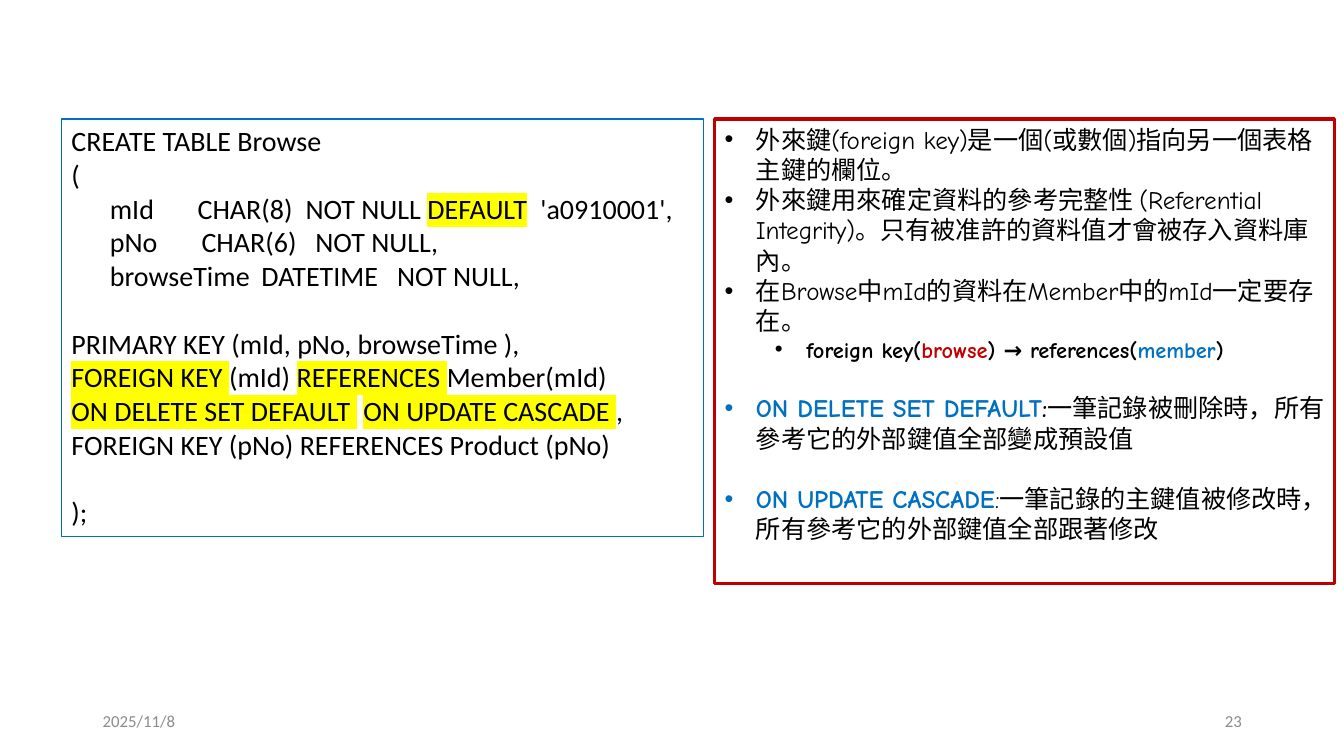
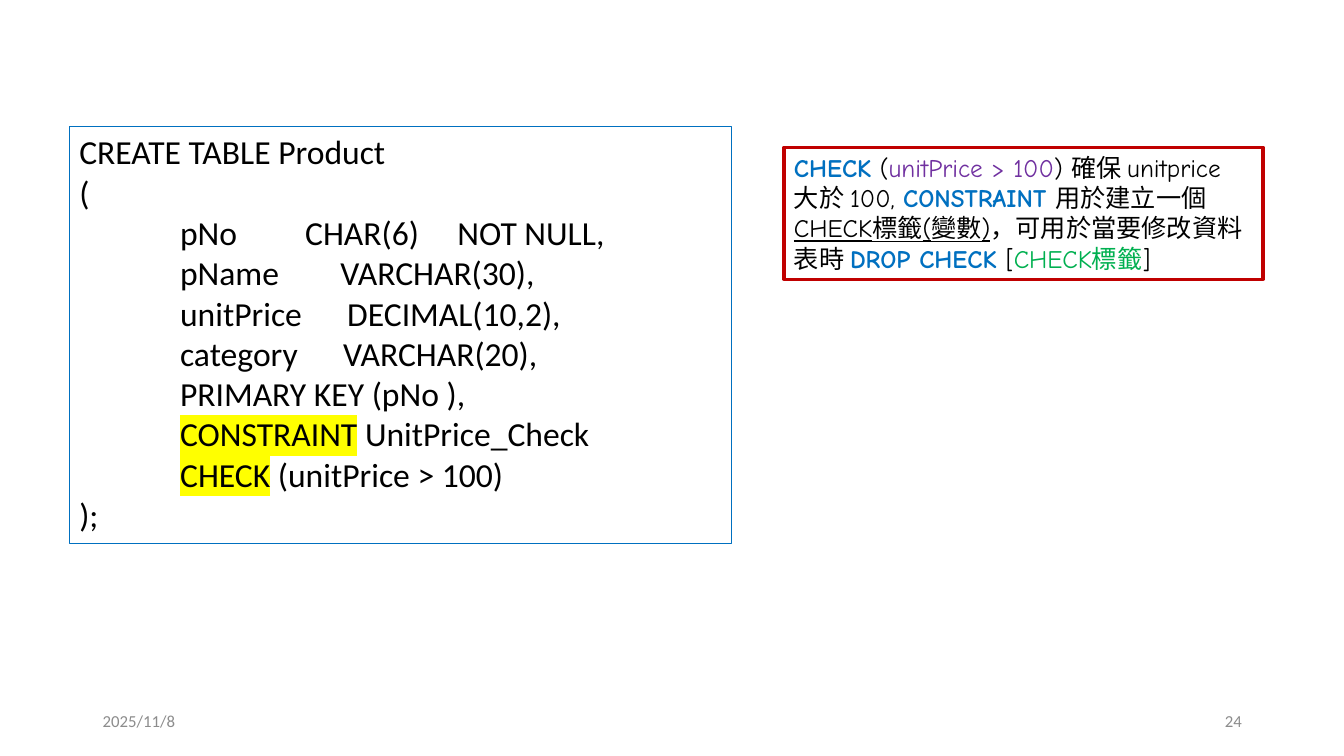
from dataclasses import dataclass

from lxml import etree
from pptx import Presentation
from pptx.dml.color import RGBColor
from pptx.enum.text import MSO_ANCHOR, MSO_AUTO_SIZE, PP_ALIGN
from pptx.oxml.ns import qn
from pptx.slide import Slide
from pptx.util import Cm, Pt

TOP, MIDDLE = MSO_ANCHOR.TOP, MSO_ANCHOR.MIDDLE
LEFT, RIGHT = PP_ALIGN.LEFT, PP_ALIGN.RIGHT
NO_AUTOFIT = MSO_AUTO_SIZE.NONE

COLORS = {
    "ink": "000000",
    "blue": "0070C0",
    "red": "C00000",
    "purple": "7030A0",
    "green": "00B050",
    "muted": "8C8C8C",
    "marker": "FFFF00",
}
CODE_FONT = "Calibri"
REMARK_FONT = "Comic Neue"
BLANK_LAYOUT = 6
FIRST_PAGE = 23
CODE_GAP = 24.4
REMARK_GAP = 21.5
HANGING = 0.79


@dataclass(frozen=True)
class Span:
    text: str
    color: str = ""
    bold: bool = False
    underline: bool = False
    marked: bool = False


@dataclass(frozen=True)
class Line:
    spans: tuple[Span, ...]
    tabs: tuple[float, ...] = ()
    bullet_indent: float = 0
    size: float = 0
    gap_before: float = 0


@dataclass(frozen=True)
class Area:
    left: float
    top: float
    width: float
    height: float


@dataclass(frozen=True)
class Page:
    code: tuple[Line, ...]
    code_area: Area
    code_size: float
    remarks: tuple[Line, ...]
    remark_area: Area


def line(*parts: str | Span, tabs: tuple[float, ...] = (), bullet_indent: float = 0,
         size: float = 0, gap_before: float = 0) -> Line:
    spans = tuple(Span(part) if isinstance(part, str) else part for part in parts)
    return Line(spans, tabs, bullet_indent, size, gap_before)


def marked(text: str) -> Span:
    return Span(text, marked=True)


def bold(text: str, color: str = "") -> Span:
    return Span(text, color, bold=True)


def bullet(*parts: str | Span, gap_before: float = 0) -> Line:
    return line(*parts, bullet_indent=HANGING, gap_before=gap_before)


def rgb(color: str) -> RGBColor:
    return RGBColor.from_string(COLORS[color])


def set_bullet_and_tabs(paragraph, content: Line) -> None:
    properties = paragraph._p.get_or_add_pPr()
    if content.bullet_indent:
        properties.set("marL", str(Cm(content.bullet_indent)))
        properties.set("indent", str(-Cm(HANGING)))
        etree.SubElement(properties, qn("a:buFont"), typeface="Arial")
        etree.SubElement(properties, qn("a:buChar"), char="•")
    if content.tabs:
        stops = etree.SubElement(properties, qn("a:tabLst"))
        for stop in content.tabs:
            etree.SubElement(stops, qn("a:tab"), pos=str(Cm(stop)), algn="l")


def highlight(font) -> None:
    fill = font._element.find(qn("a:solidFill"))
    marker = etree.Element(qn("a:highlight"))
    etree.SubElement(marker, qn("a:srgbClr"), val=COLORS["marker"])
    fill.addnext(marker)


def add_text(slide: Slide, lines: tuple[Line, ...], area: Area, *, font: str, size: float,
             color: str = "ink", border: str = "", border_width: float = 0,
             align: PP_ALIGN = LEFT, anchor: MSO_ANCHOR = TOP) -> None:
    box = slide.shapes.add_textbox(Cm(area.left), Cm(area.top), Cm(area.width), Cm(area.height))
    if border:
        box.line.color.rgb = rgb(border)
        box.line.width = Pt(border_width)
    frame = box.text_frame
    frame.word_wrap = True
    frame.auto_size = NO_AUTOFIT
    frame.vertical_anchor = anchor
    for index, content in enumerate(lines):
        paragraph = frame.add_paragraph() if index else frame.paragraphs[0]
        paragraph.alignment = align
        paragraph.space_before = Pt(content.gap_before)
        set_bullet_and_tabs(paragraph, content)
        for span in content.spans:
            run = paragraph.add_run()
            run.text = span.text
            run.font.size = Pt(content.size or size)
            run.font.bold = span.bold
            run.font.underline = span.underline
            run.font.color.rgb = rgb(span.color or color)
            run.font.name = font
            if span.marked:
                highlight(run.font)


def add_footer(slide: Slide, number: int) -> None:
    for text, left, align in (("2025/11/8", 2.34, LEFT), (str(number), 23.93, RIGHT)):
        add_text(slide, (line(text),), Area(left, 17.65, 7.62, 1.02), font=CODE_FONT, size=12,
                 color="muted", align=align, anchor=MIDDLE)


def add_page(deck, page: Page, number: int) -> None:
    slide = deck.slides.add_slide(deck.slide_layouts[BLANK_LAYOUT])
    add_text(slide, page.code, page.code_area, font=CODE_FONT, size=page.code_size,
             border="blue", border_width=0.75)
    add_text(slide, page.remarks, page.remark_area, font=REMARK_FONT, size=18,
             border="red", border_width=2.25)
    add_footer(slide, number)


FOREIGN_KEYS = Page(
    code=(
        line("CREATE TABLE Browse"),
        line("("),
        line("\tmId\tCHAR(8)\tNOT NULL ", marked("DEFAULT"), "\t'a0910001',",
             tabs=(0.97, 3.18, 5.9, 11.82)),
        line("\tpNo\tCHAR(6)\tNOT NULL,", tabs=(0.97, 3.28, 6.15)),
        line("\tbrowseTime\tDATETIME\tNOT NULL,", tabs=(0.97, 4.79, 8.21)),
        line("PRIMARY KEY (mId, pNo, browseTime ),", gap_before=CODE_GAP),
        line(marked("FOREIGN KEY "), "(mId) ", marked("REFERENCES "), "Member(mId)"),
        line(marked("ON DELETE SET DEFAULT "), " ", marked("ON UPDATE CASCADE "), ","),
        line("FOREIGN KEY (pNo) REFERENCES Product (pNo)"),
        line(");", gap_before=CODE_GAP),
    ),
    code_area=Area(1.55, 3, 16.18, 10.52),
    code_size=20,
    remarks=(
        bullet("外來鍵(foreign key)是一個(或數個)指向另一個表格主鍵的欄位。"),
        bullet("外來鍵用來確定資料的參考完整性 (Referential Integrity)。"
               "只有被准許的資料值才會被存入資料庫內。"),
        bullet("在Browse中mId的資料在Member中的mId一定要存在。"),
        line(bold("foreign key("), bold("browse", "red"), bold(") → references("),
             bold("member", "blue"), bold(")"), bullet_indent=2.06, size=16),
        bullet(bold("ON DELETE SET DEFAULT", "blue"), bold(":"),
               "一筆記錄被刪除時，所有參考它的外部鍵值全部變成預設值", gap_before=REMARK_GAP),
        bullet(bold("ON UPDATE CASCADE", "blue"),
               ":一筆記錄的主鍵值被修改時，所有參考它的外部鍵值全部跟著修改", gap_before=REMARK_GAP),
    ),
    remark_area=Area(18.01, 3, 15.62, 11.71),
)

CHECK_CONSTRAINT = Page(
    code=(
        line("CREATE TABLE Product"),
        line("("),
        line("\tpNo\tCHAR(6)\tNOT NULL,", tabs=(2.54, 5.69, 9.53)),
        line("\tpName\tVARCHAR(30),", tabs=(2.54, 6.58)),
        line("\tunitPrice\tDECIMAL(10,2),", tabs=(2.54, 6.75)),
        line("\tcategory\tVARCHAR(20),", tabs=(2.54, 6.65)),
        line("\tPRIMARY KEY (pNo ),", tabs=(2.54,)),
        line("\t", marked("CONSTRAINT"), " UnitPrice_Check", tabs=(2.54,)),
        line("\t", marked("CHECK"), " (unitPrice > 100)", tabs=(2.54,)),
        line(");"),
    ),
    code_area=Area(1.75, 3.18, 16.69, 10.52),
    code_size=24,
    remarks=(
        line(bold("CHECK", "blue"), " (", Span("unitPrice > 100", "purple"),
             ") 確保 unitprice 大於 100, ", bold("CONSTRAINT ", "blue"), "用於建立一個",
             Span("CHECK標籤(變數)", underline=True), "，可用於當要修改資料表時 ",
             bold("DROP CHECK ", "blue"), "[", Span("CHECK標籤", "green"), "]"),
    ),
    remark_area=Area(19.76, 3.71, 12.07, 3.33),
)


def main() -> None:
    deck = Presentation()
    deck.slide_width, deck.slide_height = Cm(33.87), Cm(19.05)
    for number, page in enumerate((FOREIGN_KEYS, CHECK_CONSTRAINT), start=FIRST_PAGE):
        add_page(deck, page, number)
    deck.save("out.pptx")


if __name__ == "__main__":
    main()
